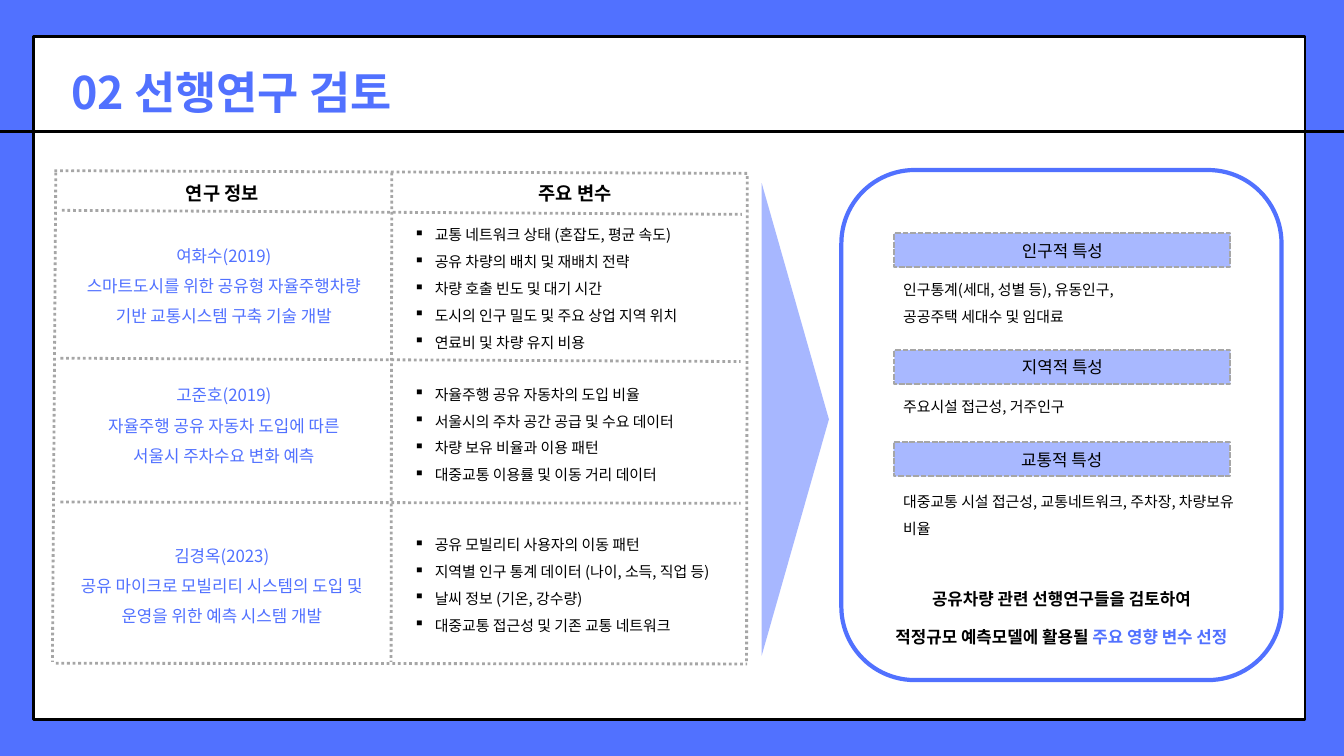
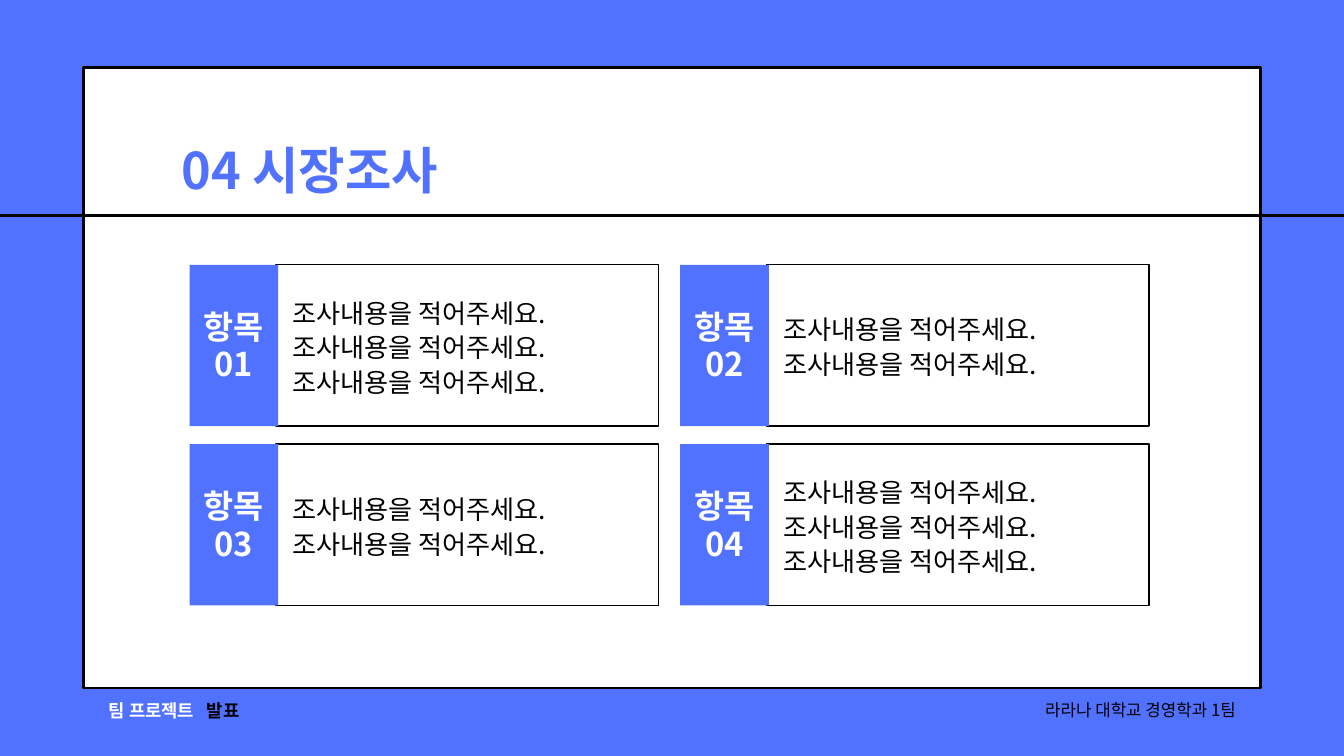
from lxml.etree import SubElement
from pptx import Presentation
from pptx.dml.color import RGBColor
from pptx.enum.dml import MSO_LINE
from pptx.enum.shapes import MSO_CONNECTOR, MSO_SHAPE
from pptx.enum.text import MSO_ANCHOR, MSO_AUTO_SIZE, PP_ALIGN
from pptx.oxml.ns import qn
from pptx.util import Inches, Pt

BLUE = RGBColor(0x51, 0x71, 0xFF)
PALE = RGBColor(0xA8, 0xB8, 0xFF)
GREY = RGBColor(0xA6, 0xA6, 0xA6)
BLACK = RGBColor(0, 0, 0)
WHITE = RGBColor(0xFF, 0xFF, 0xFF)
FONT = "Noto Sans CJK KR"

STUDIES = [
    (0.57, 3.5, 3.23,
     ["여화수(2019)", "스마트도시를 위한 공유형 자율주행차량",
      "기반 교통시스템 구축 기술 개발"],
     ["교통 네트워크 상태 (혼잡도, 평균 속도)", "공유 차량의 배치 및 재배치 전략",
      "차량 호출 빈도 및 대기 시간", "도시의 인구 밀도 및 주요 상업 지역 위치",
      "연료비 및 차량 유지 비용"]),
    (0.57, 5.58, 5.6,
     ["고준호(2019)", "자율주행 공유 자동차 도입에 따른", "서울시 주차수요 변화 예측"],
     ["자율주행 공유 자동차의 도입 비율", "서울시의 주차 공간 공급 및 수요 데이터",
      "차량 보유 비율과 이용 패턴", "대중교통 이용률 및 이동 거리 데이터"]),
    (0.54, 7.97, 7.84,
     ["김경옥(2023)", "공유 마이크로 모빌리티 시스템의 도입 및",
      "운영을 위한 예측 시스템 개발"],
     ["공유 모빌리티 사용자의 이동 패턴", "지역별 인구 통계 데이터 (나이, 소득, 직업 등)",
      "날씨 정보 (기온, 강수량)", "대중교통 접근성 및 기존 교통 네트워크"]),
]
RULES = [
    (0.9, 5.33, 11.02, 5.38), (0.9, 7.47, 11.02, 7.49),
    (5.83, 2.57, 5.82, 9.85), (11.12, 2.62, 11.11, 9.88),
    (0.83, 2.57, 0.78, 9.85), (0.92, 3.13, 11.04, 3.19),
    (0.83, 9.87, 11.12, 9.88), (0.81, 2.54, 11.12, 2.58),
]
TRAITS = [
    (13.31, 3.47, 4.04, 0.77, "인구적 특성",
     ["인구통계(세대, 성별 등), 유동인구,", "공공주택 세대수 및 임대료"]),
    (13.31, 5.21, 5.79, 0.37, "지역적 특성", ["주요시설 접근성, 거주인구"]),
    (13.3, 6.58, 7.2, 0.77, "교통적 특성",
     ["대중교통 시설 접근성, 교통네트워크, 주차장, 차량보유 비율"]),
]
CARDS = [3, 2, 2, 3]


def style(run, size, color, bold=False):
    """Format one run, Korean glyphs included."""
    font = run.font
    font.size, font.bold, font.name = Pt(size), bold, FONT
    font.color.rgb = color
    SubElement(font._element, qn("a:ea"), typeface=FONT)


def fill_text(frame, lines, size, color, bold=False, align=PP_ALIGN.LEFT,
              space=None, bullet=False):
    """Write paragraphs into a text frame and format them."""
    frame.word_wrap = True
    frame.text = "\n".join(lines)
    for par in frame.paragraphs:
        if bullet:
            props = par._p.get_or_add_pPr()
            props.set("marL", str(Inches(0.31)))
            props.set("indent", str(-Inches(0.31)))
            SubElement(props, qn("a:buChar"), char="▪")
        par.alignment = align
        if space:
            par.line_spacing = space
        for run in par.runs:
            style(run, size, color, bold)


def trim(frame):
    """Drop the insets and let the box grow with its text."""
    frame.margin_left = frame.margin_right = 0
    frame.margin_top = frame.margin_bottom = 0
    frame.vertical_anchor = MSO_ANCHOR.TOP
    frame.auto_size = MSO_AUTO_SIZE.SHAPE_TO_FIT_TEXT


def add_text(slide, box, lines, size, color=BLACK, **look):
    """Add a text box and return its frame."""
    frame = slide.shapes.add_textbox(*map(Inches, box)).text_frame
    trim(frame)
    fill_text(frame, lines, size, color, **look)
    return frame


def add_shape(slide, kind, box, fill=None, line=None, width=1, dash=None):
    """Add a preset shape with plain fill and outline."""
    shape = slide.shapes.add_shape(kind, *map(Inches, box))
    shape.shadow.inherit = False
    if fill is None:
        shape.fill.background()
    else:
        shape.fill.solid()
        shape.fill.fore_color.rgb = fill
    if line is None:
        shape.line.fill.background()
    else:
        shape.line.color.rgb = line
        shape.line.width = Pt(width)
        if dash:
            shape.line.dash_style = dash
    return shape


def add_line(slide, ends, color, dash=None):
    """Add a straight line three points wide."""
    rule = slide.shapes.add_connector(MSO_CONNECTOR.STRAIGHT, *map(Inches, ends))
    rule.line.color.rgb = color
    rule.line.width = Pt(3)
    if dash:
        rule.line.dash_style = dash
    SubElement(rule._element.spPr, qn("a:effectLst"))


def add_page(deck, panel, band, box, title, size):
    """Add a slide with the blue ground, white panel, band line and title."""
    slide = deck.slides.add_slide(deck.slide_layouts[5])
    slide.background.fill.solid()
    slide.background.fill.fore_color.rgb = BLUE
    add_shape(slide, MSO_SHAPE.RECTANGLE, panel, WHITE, BLACK, 3)
    add_line(slide, (0, band, 20, band), BLACK)
    head = slide.shapes.title
    head.left, head.top, head.width, head.height = map(Inches, box)
    trim(head.text_frame)
    fill_text(head.text_frame, [title], size, BLUE, bold=True, space=Pt(75.5))
    head._element.getparent().append(head._element)
    return slide


def add_studies(slide):
    """Draw the dotted grid of earlier studies."""
    mid = PP_ALIGN.CENTER
    for ends in RULES:
        add_line(slide, ends, GREY, MSO_LINE.ROUND_DOT)
    for left, label in ((2.31, "연구 정보"), (7.56, "주요 변수")):
        add_text(slide, (left, 2.71, 2, 0.34), [label], 20, bold=True, align=mid)
    for left, top, list_top, study, items in STUDIES:
        add_text(slide, (left, top, 5.52, 1.33), study, 18, BLUE,
                 align=mid, space=1.5)
        add_text(slide, (6.16, list_top, 5.08, 0.4 * len(items)), items, 16,
                 space=1.5, bullet=True)


def add_traits(slide):
    """Draw the arrow and the rounded box of chosen traits."""
    mid = PP_ALIGN.CENTER
    arrow = add_shape(slide, MSO_SHAPE.ISOSCELES_TRIANGLE,
                      (8.32, 5.74, 7.03, 1), BLUE)
    arrow.rotation = 90
    tint = arrow._element.spPr.find(qn("a:solidFill"))[0]
    SubElement(tint, qn("a:alpha"), val="50000")
    add_shape(slide, MSO_SHAPE.ROUNDED_RECTANGLE, (12.52, 2.53, 6.55, 7.59),
              None, BLUE, 4.5)
    for left, top, note_top, high, label, notes in TRAITS:
        tag = add_shape(slide, MSO_SHAPE.RECTANGLE, (left, top, 5, 0.51),
                        PALE, GREY, 2, MSO_LINE.SQUARE_DOT)
        tag.text_frame.vertical_anchor = MSO_ANCHOR.MIDDLE
        fill_text(tag.text_frame, [label], 18, BLACK, align=mid)
        add_text(slide, (13.44, note_top, 5.08, high), notes, 16, space=1.5)
    frame = add_text(slide, (12.58, 8.5, 6.43, 1.12),
                     ["공유차량 관련 선행연구들을 검토하여", "적정규모 예측모델에 활용될"],
                     18, bold=True, align=mid, space=Pt(40.6))
    run = frame.paragraphs[1].add_run()
    run.text = " 주요 영향 변수 선정"
    style(run, 18, BLUE, True)


def add_card(slide, index, count):
    """Draw one survey card of the two by two grid."""
    row, col = divmod(index, 2)
    left, top = 2.82 + 7.3 * col, 3.94 + 2.67 * row
    add_shape(slide, MSO_SHAPE.RECTANGLE, (left + 1.29, top, 5.69, 2.4),
              None, BLACK, 1.5)
    add_shape(slide, MSO_SHAPE.RECTANGLE, (left, top, 1.32, 2.4), BLUE)
    add_text(slide, (left, top + 0.64, 1.32, 1.13), ["항목", f"{index + 1:02}"],
             35, WHITE, bold=True, align=PP_ALIGN.CENTER, space=Pt(40.6))
    add_text(slide, (left + 1.54, top + 1.18 - count / 4, 5.2, count / 2),
             ["조사내용을 적어주세요."] * count, 28, space=Pt(37.2))


def add_foot(slide):
    """Write the footer line."""
    add_text(slide, (1.62, 10.36, 1.64, 0.35), ["팀 프로젝트"], 19, WHITE,
             bold=True, space=Pt(26.6))
    add_text(slide, (3.08, 10.36, 1.13, 0.35), ["발표"], 19, bold=True,
             space=Pt(26.6))
    add_text(slide, (14.85, 10.36, 3.54, 0.34), ["라라나 대학교 경영학과 1팀"], 18,
             align=PP_ALIGN.RIGHT, space=Pt(25.2))


def main():
    """Build both slides and save the deck."""
    deck = Presentation()
    deck.slide_width, deck.slide_height = Inches(20), Inches(11.25)
    review = add_page(deck, (0.5, 0.54, 18.92, 10.17), 1.96,
                      (1.06, 0.71, 8.61, 1), "02 선행연구 검토", 48)
    add_studies(review)
    add_traits(review)
    survey = add_page(deck, (1.24, 1.01, 17.52, 9.23), 3.21,
                      (2.7, 1.92, 7.53, 1), "04 시장조사", 54)
    for index, count in enumerate(CARDS):
        add_card(survey, index, count)
    add_foot(survey)
    deck.save("out.pptx")


if __name__ == "__main__":
    main()
